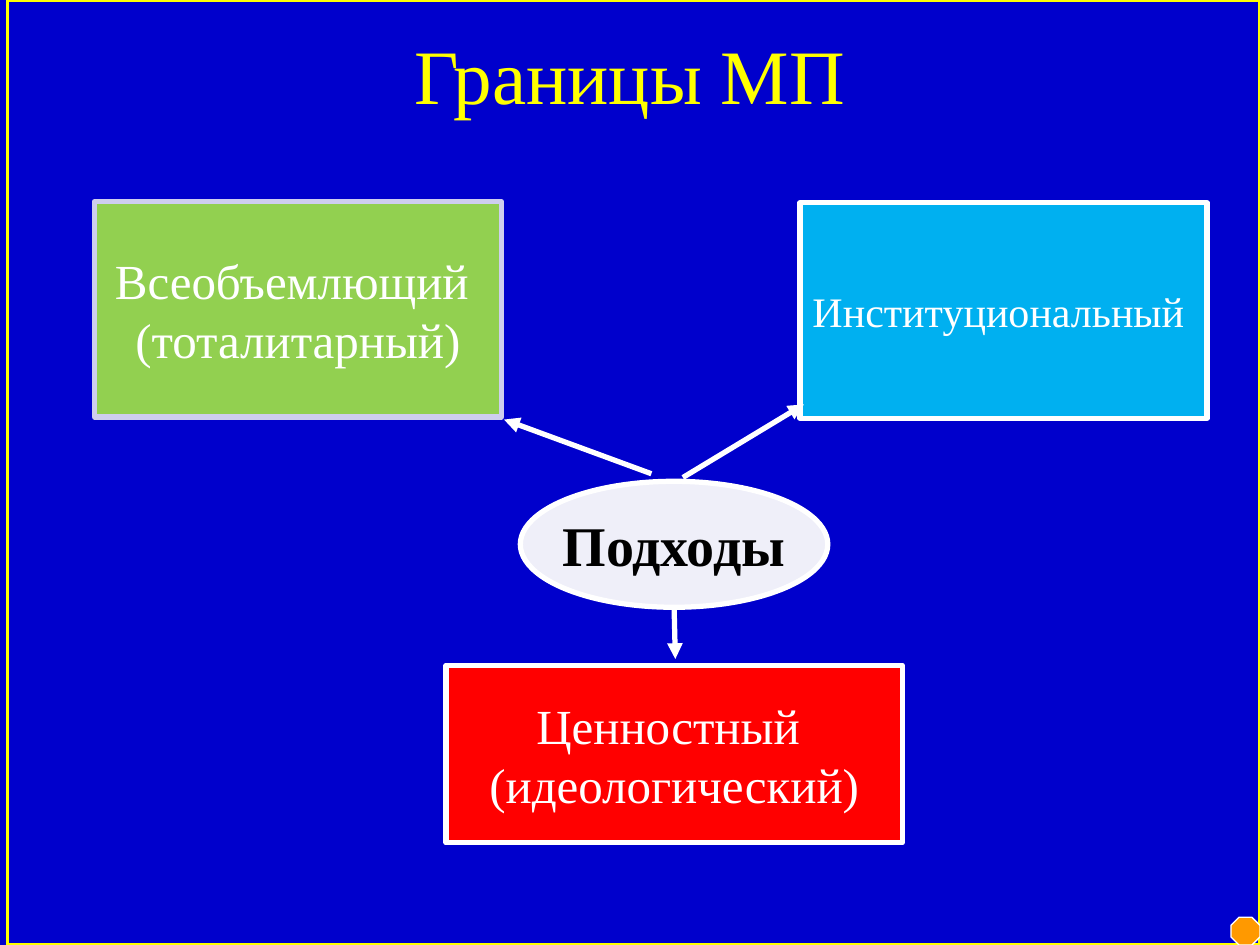
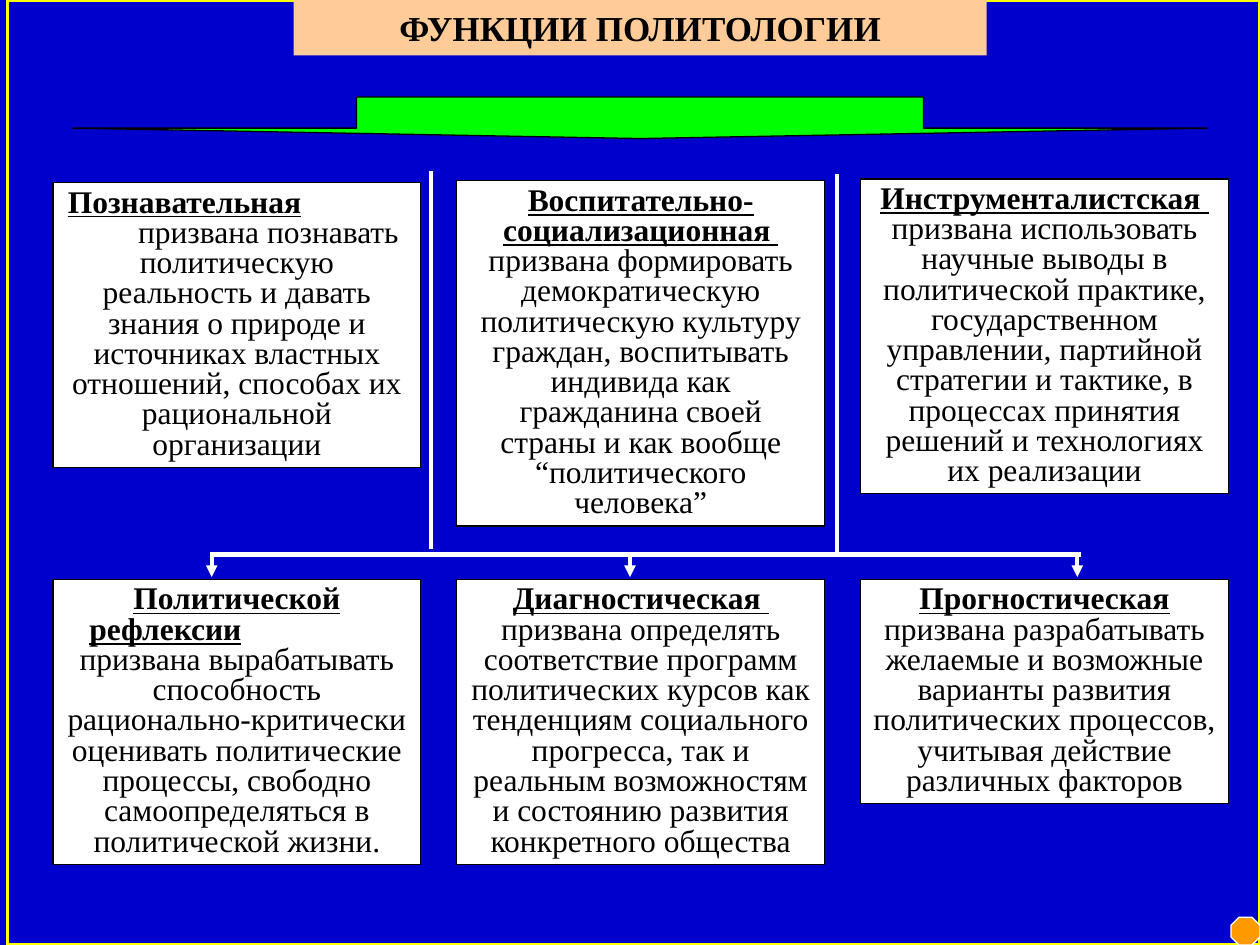
from dataclasses import dataclass, field

import pptx
import pptx.dml.color
import pptx.enum.dml
import pptx.enum.shapes
import pptx.enum.text
import pptx.oxml
import pptx.oxml.ns
import pptx.util

RGBColor = pptx.dml.color.RGBColor
Pt = pptx.util.Pt
Shape = pptx.enum.shapes.MSO_SHAPE
Align = pptx.enum.text.PP_ALIGN
Anchor = pptx.enum.text.MSO_ANCHOR
AutoSize = pptx.enum.text.MSO_AUTO_SIZE

BLUE = RGBColor(0x00, 0x00, 0xCC)
YELLOW = RGBColor(0xFF, 0xFF, 0x00)
ORANGE = RGBColor(0xFF, 0x99, 0x00)
PEACH = RGBColor(0xFF, 0xCC, 0x99)
WHITE = RGBColor(0xFF, 0xFF, 0xFF)
BLACK = RGBColor(0x00, 0x00, 0x00)
PALE = RGBColor(0xEF, 0xEF, 0xF9)
LILAC = RGBColor(0xCE, 0xCE, 0xEE)
GREEN = RGBColor(0x92, 0xD0, 0x50)
LIME = RGBColor(0x00, 0xFF, 0x00)
SKY = RGBColor(0x00, 0xB0, 0xF0)
RED = RGBColor(0xFF, 0x00, 0x00)

FONT = "Times New Roman"
SLIDE_WIDTH, SLIDE_HEIGHT = pptx.util.Inches(10), pptx.util.Inches(7.5)
COLUMNS, ROWS = 100, 75

Area = tuple[float, float, float, float]
Point = tuple[float, float]


@dataclass
class Line:
    """One paragraph with its font and paragraph formats."""
    text: str
    color: RGBColor = BLACK
    font: dict = field(default_factory=dict)
    layout: dict = field(default_factory=dict)
    indent: float = 0
    margin: float = 0


@dataclass
class Box:
    """A preset shape; its area is in grid columns and rows."""
    area: Area
    fill: RGBColor | None = None
    outline: RGBColor | None = None
    width: float = 0.75
    kind: Shape = Shape.RECTANGLE
    lines: tuple[Line, ...] = ()
    frame: dict = field(default_factory=dict)
    adjustments: tuple[float, ...] = ()


@dataclass
class Link:
    """A straight line between two grid points."""
    start: Point
    end: Point
    width: float = 2.25
    arrow: bool = True


@dataclass
class Function:
    """A function of political science; the headings are its own lines."""
    headings: tuple[Line, ...]
    body: str
    height: float
    indent: float = 0


def across(columns: float) -> int:
    return round(SLIDE_WIDTH * columns / COLUMNS)


def down(rows: float) -> int:
    return round(SLIDE_HEIGHT * rows / ROWS)


def apply(target: object, values: dict) -> None:
    for name, value in values.items():
        setattr(target, name, value)


def place(shape, area: Area) -> None:
    left, top, width, height = area
    apply(shape, {"left": across(left), "top": down(top),
                  "width": across(width), "height": down(height)})


def write(shape, lines: tuple[Line, ...], frame: dict) -> None:
    text = shape.text_frame
    apply(text, {"word_wrap": True, "auto_size": AutoSize.NONE,
                 "vertical_anchor": Anchor.MIDDLE} | frame)
    for number, line in enumerate(lines):
        para = text.add_paragraph() if number else text.paragraphs[0]
        apply(para, {"alignment": Align.CENTER, "space_before": Pt(0)} | line.layout)
        if line.indent or line.margin:
            properties = para._p.get_or_add_pPr()
            properties.set("marL", str(across(line.margin)))
            properties.set("indent", str(across(line.indent)))
        span = para.add_run()
        span.text = line.text
        apply(span.font, {"name": FONT} | line.font)
        span.font.color.rgb = line.color


def draw_box(page, box: Box):
    shape = page.shapes.add_shape(box.kind, 0, 0, 0, 0)
    place(shape, box.area)
    shape.shadow.inherit = False
    for number, value in enumerate(box.adjustments):
        shape.adjustments[number] = value
    if box.fill is None:
        shape.fill.background()
    else:
        shape.fill.solid()
        shape.fill.fore_color.rgb = box.fill
    if box.outline is None:
        shape.line.fill.background()
    else:
        shape.line.color.rgb = box.outline
        shape.line.width = Pt(box.width)
    if box.lines:
        write(shape, box.lines, box.frame)
    return shape


def draw_link(page, link: Link) -> None:
    (x1, y1), (x2, y2) = link.start, link.end
    connector = page.shapes.add_connector(
        pptx.enum.shapes.MSO_CONNECTOR.STRAIGHT,
        across(x1), down(y1), across(x2), down(y2))
    connector.line.color.rgb = WHITE
    connector.line.width = Pt(link.width)
    properties = connector.element.spPr
    namespace = pptx.oxml.ns.nsdecls("a")
    if link.arrow:
        properties.find(pptx.oxml.ns.qn("a:ln")).append(
            pptx.oxml.parse_xml(f'<a:tailEnd {namespace} type="triangle"/>'))
    properties.append(pptx.oxml.parse_xml(f"<a:effectLst {namespace}/>"))


def set_title(page, area: Area, line: Line, fill: RGBColor | None = None,
              frame: dict | None = None) -> None:
    title = page.shapes.title
    place(title, area)
    if fill is not None:
        title.fill.solid()
        title.fill.fore_color.rgb = fill
    write(title, (line,), frame or {})


def decorate(page) -> None:
    """Give the page's layout the background, frame and corner mark."""
    layout = page.slide_layout
    layout.background.fill.solid()
    layout.background.fill.fore_color.rgb = BLUE
    marks = (
        Box((0.6, 0, 99.4, 75), outline=YELLOW, width=2.25),
        Box((97.7, 72.8, 2.3, 2.2), ORANGE, WHITE, kind=Shape.OCTAGON,
            adjustments=(0.29,)),
    )
    for number, mark in enumerate(marks, start=101):
        element = draw_box(page, mark).element
        element.nvSpPr.cNvPr.set("id", str(number))
        layout.element.cSld.spTree.append(element)


def build_approaches(page) -> None:
    set_title(page, (7.5, 0, 85, 11.7),
              Line("Границы МП", YELLOW, {"size": Pt(44)}))
    large = {"size": Pt(28)}
    boxes = (
        Box((41.3, 38.2, 24.4, 10), PALE, WHITE, 3, Shape.OVAL,
            (Line("Подходы", BLACK, {"size": Pt(32), "bold": True}),),
            {"word_wrap": False}),
        Box((7.5, 16, 32.3, 17.1), GREEN, LILAC, 3, lines=(
            Line("Всеобъемлющий ", WHITE, large),
            Line("(тоталитарный)", WHITE, large))),
        Box((63.5, 16.1, 32.3, 17.1), SKY, WHITE, 3, lines=(
            Line("Институциональный", WHITE, {"size": Pt(24)},
                 {"alignment": Align.LEFT}),)),
        Box((35.4, 52.8, 36.2, 14.1), RED, WHITE, 3, lines=(
            Line("Ценностный ", WHITE, large),
            Line("(идеологический)", WHITE, large))),
    )
    for box in boxes:
        draw_box(page, box)
    for start, end in (((54.2, 37.9), (63.8, 32.1)),
                       ((51.7, 37.6), (40, 33.3)),
                       ((53.5, 48.2), (53.6, 52.3))):
        draw_link(page, Link(start, end, 3))


PLAIN = {"size": Pt(18)}
HEADING = PLAIN | {"bold": True, "underline": True}
TIGHT = {"line_spacing": 0.8}
TIGHT_LEFT = TIGHT | {"alignment": Align.LEFT}


def heading(text: str) -> Line:
    return Line(text, BLACK, HEADING, TIGHT)


FUNCTIONS = (
    (
        Function((Line("Познавательная", BLACK, HEADING, TIGHT_LEFT, margin=0.2),),
                 "призвана познавать политическую реальность и давать знания о "
                 "природе и источниках властных отношений, способах их "
                 "рациональной организации", 22.6, indent=5),
        Function((heading("Воспитательно- социализационная "),),
                 "призвана формировать демократическую политическую культуру "
                 "граждан, воспитывать индивида как гражданина своей страны и "
                 "как вообще “политического человека”", 27.4),
        Function((heading("Инструменталистская "),),
                 "призвана использовать научные выводы в политической практике, "
                 "государственном управлении, партийной стратегии и тактике, в "
                 "процессах принятия решений и технологиях их реализации", 25),
    ),
    (
        Function((heading("Политической"),
                  Line("рефлексии", BLACK, HEADING, TIGHT_LEFT, margin=1.9)),
                 "призвана вырабатывать способность рационально-критически "
                 "оценивать политические процессы, свободно самоопределяться в "
                 "политической жизни.", 22.6),
        Function((heading("Диагностическая "),),
                 "призвана определять соответствие программ политических курсов "
                 "как тенденциям социального прогресса, так и реальным "
                 "возможностям и состоянию развития конкретного общества", 22.6),
        Function((heading("Прогностическая"),),
                 "призвана разрабатывать желаемые и возможные варианты развития "
                 "политических процессов, учитывая действие различных факторов",
                 17.8),
    ),
)


def build_functions(page) -> None:
    set_title(page, (23.3, 0, 55, 4.4),
              Line("ФУНКЦИИ ПОЛИТОЛОГИИ", BLACK, {"size": Pt(20), "bold": True}),
              PEACH, {"vertical_anchor": Anchor.TOP})
    frame = {"vertical_anchor": Anchor.TOP, "auto_size": AutoSize.SHAPE_TO_FIT_TEXT}
    row_tops, row_rises = (14.5, 46), (0.15, 0)
    for top, rise, functions in zip(row_tops, row_rises, FUNCTIONS):
        for column, function in enumerate(functions):
            area = (4.2 + 32.05 * column, top - rise * column, 29.2, function.height)
            body = Line(function.body, BLACK, PLAIN, TIGHT, function.indent)
            draw_box(page, Box(area, WHITE, BLACK,
                               lines=(*function.headings, body), frame=frame))
    draw_box(page, Box((5.8, 7.7, 90, 3.3), LIME, BLACK, kind=Shape.DOWN_ARROW,
                       adjustments=(0.5, 0.25)))
    draw_link(page, Link((16.7, 44), (85.8, 44), 3, arrow=False))
    for x in (16.8, 50, 85.5):
        draw_link(page, Link((x, 44.2), (x, 45.8)))
    for x, top in ((34.2, 13.6), (66.4, 13.8)):
        draw_link(page, Link((x, top), (x, top + 30), arrow=False))


def main() -> None:
    deck = pptx.Presentation()
    apply(deck, {"slide_width": SLIDE_WIDTH, "slide_height": SLIDE_HEIGHT})
    title_only = deck.slide_layouts[5]
    approaches, functions = (deck.slides.add_slide(title_only) for _ in range(2))
    decorate(approaches)
    build_approaches(approaches)
    build_functions(functions)
    deck.save("out.pptx")


if __name__ == "__main__":
    main()
